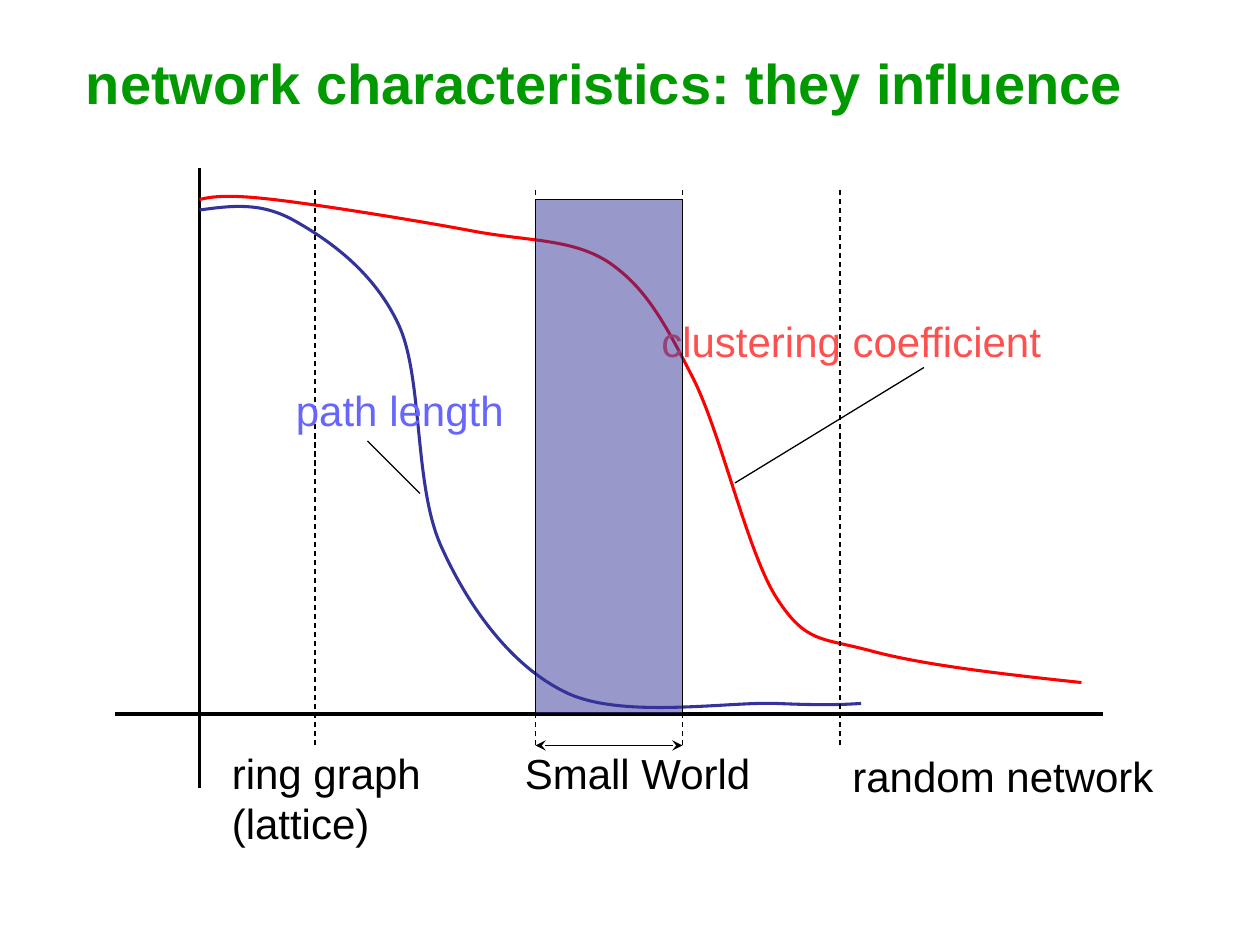
from pptx import Presentation
from pptx.dml.color import RGBColor
from pptx.enum.dml import MSO_LINE
from pptx.enum.shapes import MSO_CONNECTOR, MSO_SHAPE
from pptx.enum.text import MSO_AUTO_SIZE
from pptx.oxml.ns import qn
from pptx.oxml.xmlchemy import OxmlElement
from pptx.util import Inches, Pt

STRAIGHT = MSO_CONNECTOR.STRAIGHT
RECTANGLE = MSO_SHAPE.RECTANGLE
FIT_TEXT = MSO_AUTO_SIZE.SHAPE_TO_FIT_TEXT
DASH = MSO_LINE.DASH
UNIT = Inches(1) // 12  # grid of 120 columns by 90 rows
BLACK, RED, NAVY = "000000", "FF0000", "333399"


def color(value):
    return RGBColor.from_string(value)


def add_line(x1, y1, x2, y2, width=0.75):
    line = slide.shapes.add_connector(
        STRAIGHT, x1 * UNIT, y1 * UNIT, x2 * UNIT, y2 * UNIT)
    line.line.color.rgb = color(BLACK)
    line.line.width = Pt(width)
    line.element.spPr.append(OxmlElement("a:effectLst"))
    return line


prs = Presentation()
prs.slide_width, prs.slide_height = 120 * UNIT, 90 * UNIT
slide = prs.slides.add_slide(prs.slide_layouts[6])

# Axes
x_axis_row, y_axis_col = 68, 19
add_line(y_axis_col, 16, y_axis_col, 75, 2.25)
add_line(11, x_axis_row, 105, x_axis_row, 2.25)

# Curves: a start point, then two control points and an end point per segment
clustering = [
    (19, 19), (20.3, 18.7), (21.7, 18.5), (26, 19),
    (30.4, 19.5), (39.7, 21), (45, 22),
    (50.3, 23), (54.5, 22.7), (58, 25),
    (61.5, 27.4), (63.3, 30.7), (66, 36),
    (68.7, 41.3), (71.2, 52.7), (74, 57),
    (76.8, 61.3), (78.2, 60.7), (83, 62),
    (87.8, 63.3), (95.4, 64.2), (103, 65),
]
path_length = [
    (19, 20), (22, 19.6), (24.8, 19.2), (28, 21),
    (31.2, 22.8), (35.6, 25.8), (38, 31),
    (40.3, 36.1), (39.4, 46.2), (42, 52),
    (44.6, 57.8), (48.7, 63.5), (54, 66),
    (59.3, 68.5), (69.4, 66.8), (74, 67),
    (78.7, 67.2), (80.3, 67.1), (82, 67),
]
for points, hue in ((clustering, RED), (path_length, NAVY)):
    start, *rest = [(x * UNIT, y * UNIT) for x, y in points]
    builder = slide.shapes.build_freeform(*start)
    builder.add_line_segments(rest, close=False)
    curve = builder.convert_to_shape()
    curve.shadow.inherit = False
    curve.fill.background()
    curve.line.color.rgb = color(hue)
    curve.line.width = Pt(1.75)
    # Merge each three straight steps into one Bézier segment
    steps = list(curve.element.iter(qn("a:lnTo")))
    for first, second, third in zip(steps[::3], steps[1::3], steps[2::3]):
        first.tag = qn("a:cubicBezTo")
        for step in (second, third):
            first.append(step[0])
            step.getparent().remove(step)

# Dashed boundaries of the network types
band_left, band_right, boundary_top, boundary_bottom = 51, 65, 18, 71
for column in (30, band_left, band_right, 80):
    boundary = add_line(column, boundary_bottom, column, boundary_top)
    boundary.line.dash_style = DASH

# Width of the small-world range
span = add_line(band_left, boundary_bottom, band_right, boundary_bottom)
outline = span.line._get_or_add_ln()
for end in ("a:headEnd", "a:tailEnd"):
    arrowhead = OxmlElement(end)
    arrowhead.set("type", "stealth")
    outline.append(arrowhead)

# Title and labels: text, left, top, width, height, size, colour
labels = [
    ("ring graph\n(lattice)", 20.9, 70.6, 20.4, 10.8, 24, BLACK),
    ("random network", 80, 70.9, 31.1, 6, 24, BLACK),
    ("clustering coefficient", 61.8, 29.5, 38.6, 6, 24, "FF5050"),
    ("path length", 27, 36, 22.2, 6, 24, "6666FF"),
    ("Small World", 48.8, 70.6, 25.1, 6, 24, BLACK),
    ("network characteristics: they influence", 7, 4, 104, 7.7, 32, "009900"),
]
for text, left, top, width, height, size, hue in labels:
    is_title = size == 32
    label = slide.shapes.add_textbox(*(
        round(n * UNIT) for n in (left, top, width, height)))
    frame = label.text_frame
    frame.word_wrap = is_title
    frame.auto_size = FIT_TEXT
    frame.text = text
    for paragraph in frame.paragraphs:
        paragraph.font.name = "Arial"
        paragraph.font.size = Pt(size)
        paragraph.font.bold = is_title
        paragraph.font.color.rgb = color(hue)

# Small-world band, half transparent over the curves
band_top = 19
band = slide.shapes.add_shape(
    RECTANGLE, band_left * UNIT, band_top * UNIT,
    (band_right - band_left) * UNIT, (x_axis_row - band_top) * UNIT)
band.shadow.inherit = False
band.fill.solid()
band.fill.fore_color.rgb = color(NAVY)
alpha = OxmlElement("a:alpha")
alpha.set("val", "50000")
band.element.spPr.find(qn("a:solidFill"))[0].append(alpha)
band.line.color.rgb = color(BLACK)
band.line.width = Pt(0.75)

# Leaders from the labels to the curves
add_line(70, 46, 88, 35)
add_line(35, 42, 40, 47)

prs.save("out.pptx")
